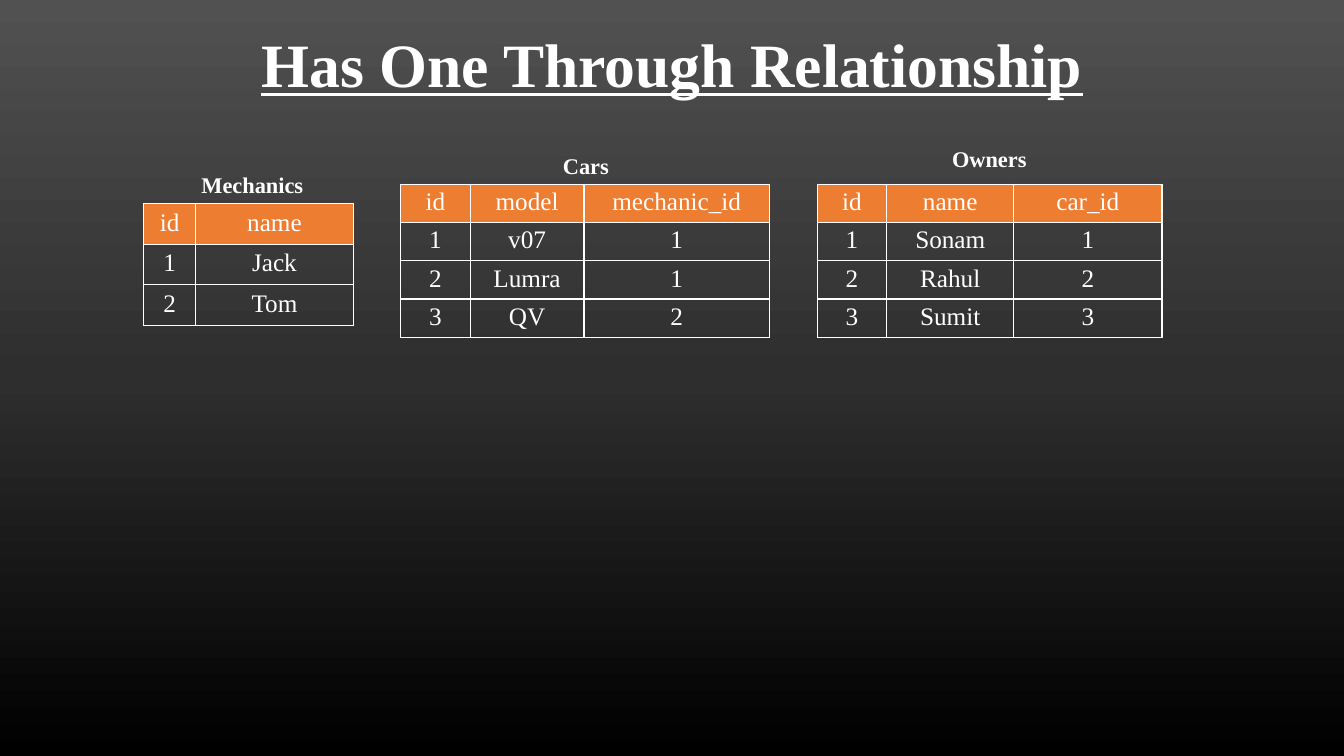
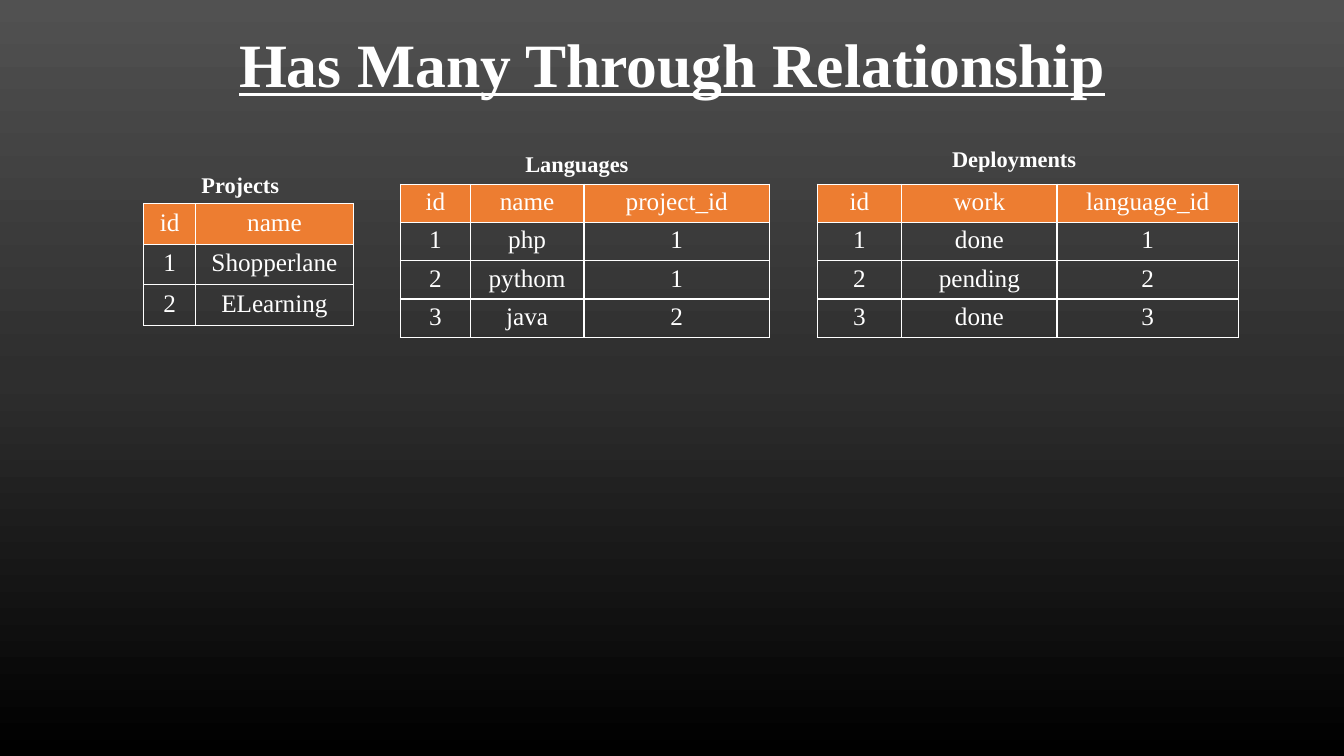
from copy import deepcopy

from lxml import etree
from pptx import Presentation
from pptx import util as u
from pptx.dml.color import RGBColor
from pptx.enum import text
from pptx.oxml.ns import qn

# Shared style
FONT = "Times New Roman"
WHITE, HEAD = "FFFFFF", "ED7D31"
SHADES = [(0, "515151"), (0.5, "2E2E2E"), (1, "000000")]
WIDE, HIGH = u.Inches(13.33), u.Inches(7.5)

# Table spots: left, top and row height in percent of the slide,
# then the cells' top and bottom margin in inches
SPOTS = [(10.7, 26.95, 5.37, 0.05),
         (29.8, 24.35, 5.03, 0.04),
         (60.8, 24.35, 5.03, 0.04)]

# Slides: title, then per table its caption (text, left, top, width),
# column widths and rows
SLIDES = [
    ("Has One Through Relationship", [
        (("Mechanics", 14.25, 22, 9.23), (3.85, 11.75),
         ["id name", "1 Jack", "2 Tom"]),
        (("Cars", 41.15, 19.4, 4.95), (5.18, 8.48, 13.8),
         ["id model mechanic_id", "1 v07 1", "2 Lumra 1", "3 QV 2"]),
        (("Owners", 70.1, 18.6, 7.13), (5.18, 9.45, 11.03),
         ["id name car_id", "1 Sonam 1", "2 Rahul 2", "3 Sumit 3"]),
    ]),
    ("Has Many Through Relationship", [
        (("Projects", 14.25, 22, 7.43), (3.85, 11.75),
         ["id name", "1 Shopperlane", "2 ELearning"]),
        (("Languages", 38.35, 19.2, 9.3), (5.18, 8.48, 13.8),
         ["id name project_id", "1 php 1", "2 pythom 1", "3 java 2"]),
        (("Deployments", 70.1, 18.6, 11.33), (6.3, 11.55, 13.5),
         ["id work language_id", "1 done 1", "2 pending 2", "3 done 3"]),
    ]),
]


def color(code):
    return RGBColor.from_string(code)


def across(part):
    return round(WIDE * part / 100)


def down(part):
    return round(HIGH * part / 100)


def write(para, words, size, bold=False, line=False):
    run = para.add_run()
    run.text = words
    font = run.font
    font.name, font.size = FONT, u.Pt(size)
    font.bold, font.underline = bold, line
    font.color.rgb = color(WHITE)


def paint(master):
    """Give every slide the dark gradient."""
    fill = master.background.fill
    fill.gradient()
    stops = master.element.find(".//" + qn("a:gsLst"))
    stops.append(deepcopy(stops[-1]))
    for stop, (place, code) in zip(fill.gradient_stops, SHADES):
        stop.position = place
        stop.color.rgb = color(code)
    fill.gradient_angle = 270


def head(slide, words):
    box = slide.shapes.title
    box.left, box.top = across(6.9), down(1.6)
    box.width, box.height = across(86.25), down(14.67)
    frame = box.text_frame
    frame.auto_size = text.MSO_AUTO_SIZE.NONE
    frame.vertical_anchor = text.MSO_ANCHOR.MIDDLE
    para = frame.paragraphs[0]
    para.alignment = text.PP_ALIGN.CENTER
    para.line_spacing = 0.9
    write(para, words, 44, bold=True, line=True)


def label(slide, words, left, top, width):
    box = slide.shapes.add_textbox(across(left), down(top),
                                   across(width), down(4.93))
    frame = box.text_frame
    frame.word_wrap = False
    frame.auto_size = text.MSO_AUTO_SIZE.SHAPE_TO_FIT_TEXT
    write(frame.paragraphs[0], words, 16, bold=True)


def border(cell):
    props = cell._tc.get_or_add_tcPr()
    for side in "LRTB":
        edge = etree.SubElement(props, qn("a:ln" + side), w=str(u.Pt(1)))
        fill = etree.SubElement(edge, qn("a:solidFill"))
        etree.SubElement(fill, qn("a:srgbClr"), val=WHITE)


def grid(slide, spot, widths, rows):
    left, top, step, pad = spot
    table = slide.shapes.add_table(
        len(rows), len(widths), across(left), down(top),
        across(sum(widths)), down(step * len(rows))).table
    table.first_row = table.horz_banding = False
    for col, width in zip(table.columns, widths):
        col.width = across(width)
    for y, row in enumerate(rows):
        table.rows[y].height = down(step)
        for x, words in enumerate(row.split()):
            cell = table.cell(y, x)
            border(cell)
            cell.margin_top = cell.margin_bottom = u.Inches(pad)
            if y == 0:
                cell.fill.solid()
                cell.fill.fore_color.rgb = color(HEAD)
            else:
                cell.fill.background()
            para = cell.text_frame.paragraphs[0]
            para.alignment = text.PP_ALIGN.CENTER
            write(para, words, 18)


def main():
    deck = Presentation()
    deck.slide_width, deck.slide_height = WIDE, HIGH
    paint(deck.slide_master)
    for title, tables in SLIDES:
        slide = deck.slides.add_slide(deck.slide_layouts[5])
        head(slide, title)
        for spot, (name, widths, rows) in zip(SPOTS, tables):
            grid(slide, spot, widths, rows)
            label(slide, *name)
    deck.save("out.pptx")


if __name__ == "__main__":
    main()
